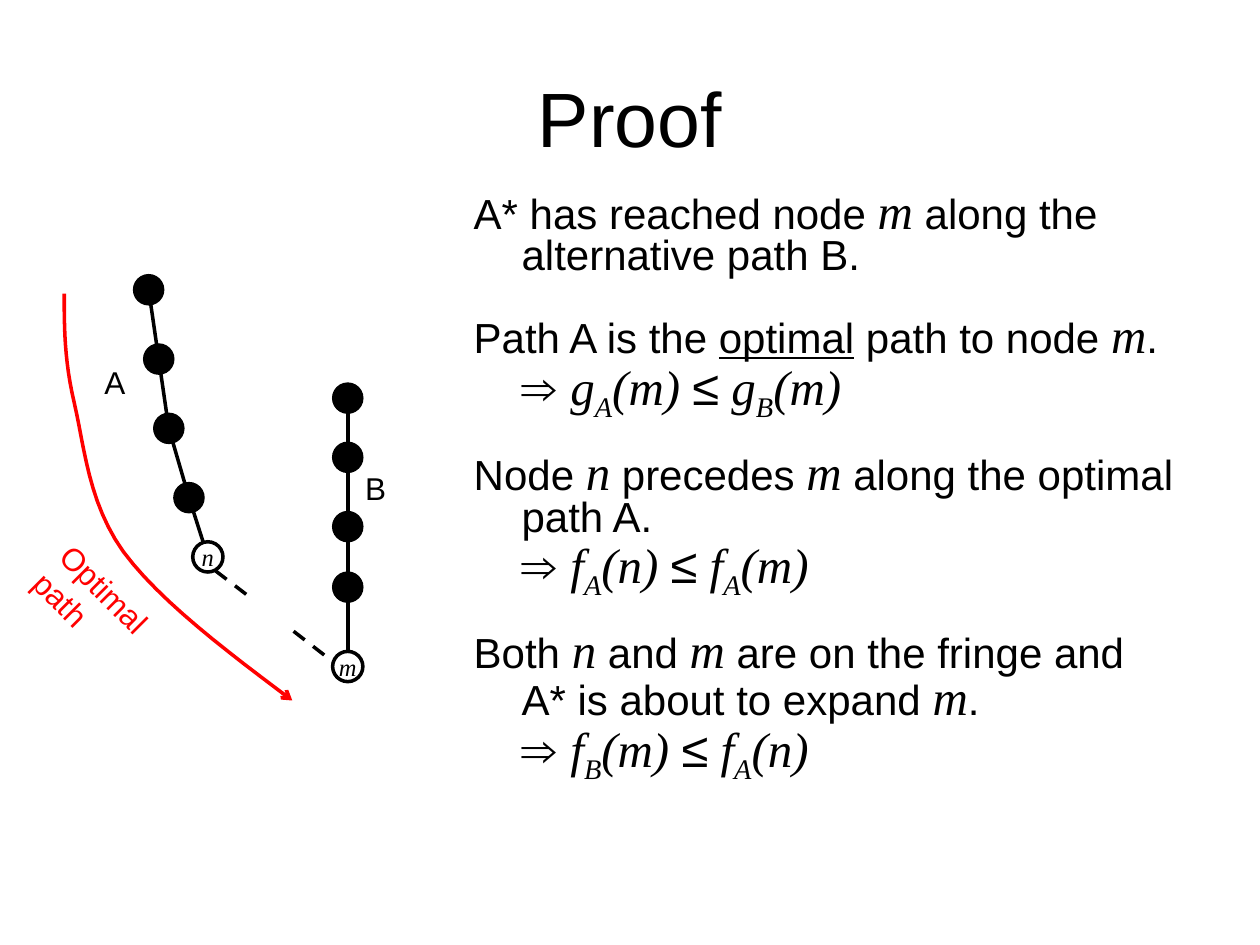
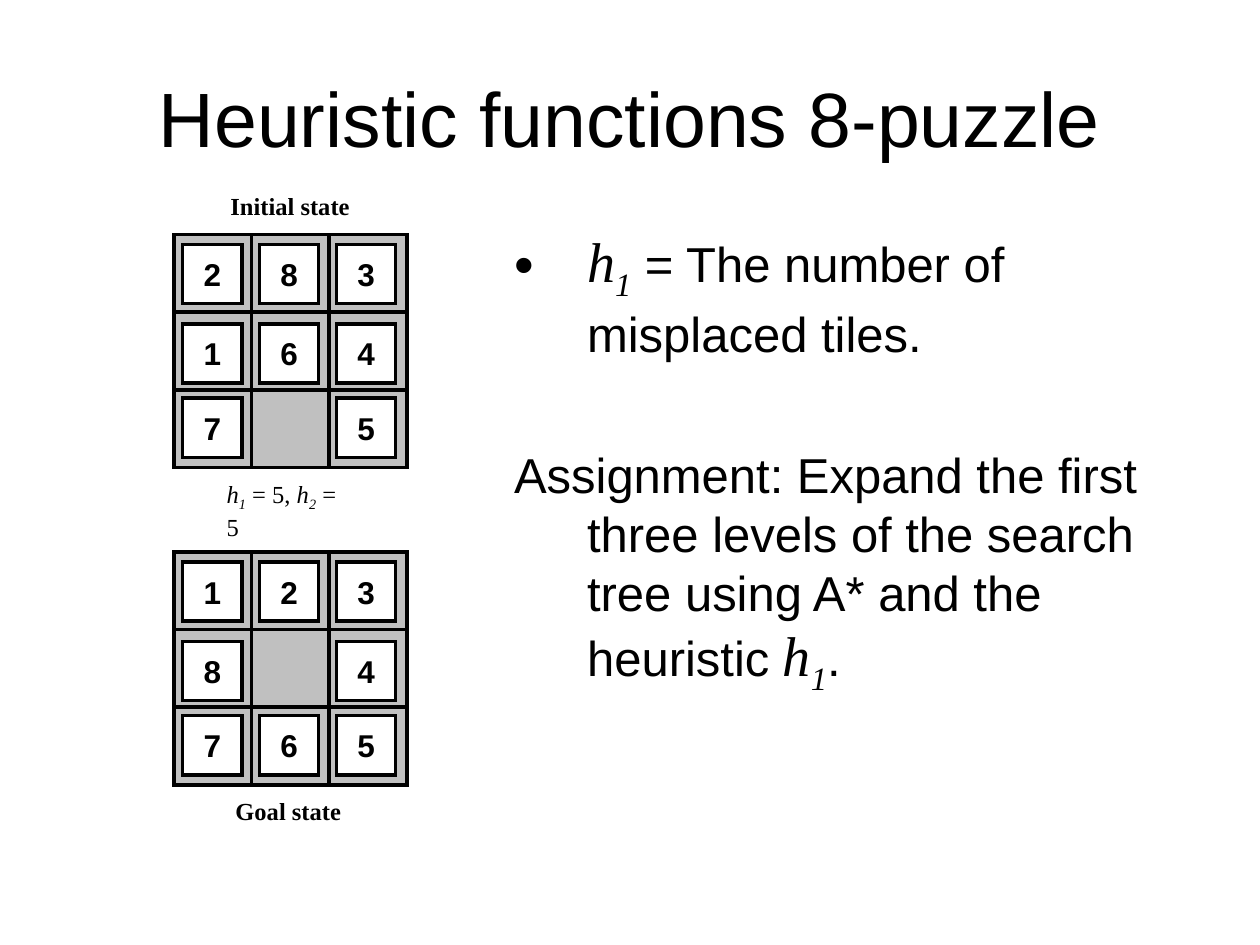
from lxml import etree
from pptx import Presentation
from pptx.dml.color import RGBColor
from pptx.enum.dml import MSO_LINE
from pptx.enum.shapes import MSO_CONNECTOR, MSO_SHAPE
from pptx.enum.text import MSO_ANCHOR, MSO_AUTO_SIZE, PP_ALIGN
from pptx.oxml.ns import qn
from pptx.util import Inches, Pt

DASH = MSO_LINE.DASH
LINE = MSO_CONNECTOR.STRAIGHT
OVAL, RECT = MSO_SHAPE.OVAL, MSO_SHAPE.RECTANGLE
MID = MSO_ANCHOR.MIDDLE
CENTER, LEFT = PP_ALIGN.CENTER, PP_ALIGN.LEFT
FIXED, GROW = MSO_AUTO_SIZE.NONE, MSO_AUTO_SIZE.SHAPE_TO_FIT_TEXT

BLACK = RGBColor(0x00, 0x00, 0x00)
WHITE = RGBColor(0xFF, 0xFF, 0xFF)
GRAY = RGBColor(0xC0, 0xC0, 0xC0)
RED = RGBColor(0xFF, 0x00, 0x00)
SANS, SERIF = "Arial", "Times New Roman"

HEAD = (SANS, 44, "")
WORD = (SANS, 24, "")
UNDER = (SANS, 24, "u")
SIGN = (SANS, 28, "")
SLANT = (SANS, 28, "i")
VAR = (SERIF, 28, "i")
SUB = (SERIF, 28, "is")
BIG = (SERIF, 32, "i")
BIGSUB = (SERIF, 32, "is")
LABEL = (SANS, 18, "")
DIGIT = (SANS, 18, "b")
NOTE = (SERIF, 14, "")
BOLD = (SERIF, 14, "b")
SMALL = (SERIF, 14, "i")
LOW = (SERIF, 14, "is")
BREAK = ("\n", WORD)


def claim(path, arg, sign, other, goal):
    return [BREAK, ("⇒ ", SIGN), (path[0], VAR), (path[1], SUB),
            (f"({arg}) ", VAR), ("≤", sign), (" " + other[0], VAR),
            (other[1], SUB), (f"({goal})", VAR)]


PROOF = [
    [("A* has reached node ", WORD), ("m", VAR),
     (" along the alternative path B.", WORD)],
    [("Path A is the ", WORD), ("optimal", UNDER), (" path to node ", WORD),
     ("m", VAR), (".", WORD)] + claim("gA", "m", SIGN, "gB", "m"),
    [("Node ", WORD), ("n", VAR), (" precedes ", WORD), ("m", VAR),
     (" along the optimal path A.", WORD)]
    + claim("fA", "n", SLANT, "fA", "m"),
    [("Both ", WORD), ("n", VAR), (" and ", WORD), ("m", VAR),
     (" are on the fringe and A* is about to expand ", WORD), ("m", VAR),
     (".", WORD)] + claim("fB", "m", SLANT, "fA", "n"),
]
TASK = [
    [("h", BIG), ("1", BIGSUB), (" = The number of misplaced tiles.", SIGN)],
    [("Assignment: Expand the first three levels of the search tree "
      "using A* and the heuristic ", SIGN), ("h", BIG), ("1", BIGSUB),
     (".", SIGN)],
]
COST = [("h", SMALL), ("1", LOW), (" = 5, ", NOTE),
        ("h", SMALL), ("2", LOW), (" = 5", NOTE)]

CHAINS = [
    ("n", [(1.18, 2.3), (1.26, 2.85), (1.34, 3.4), (1.5, 3.95), (1.65, 4.42)]),
    ("m", [(2.76, 3.16), (2.76, 3.63), (2.76, 4.18), (2.76, 4.66),
           (2.76, 5.29)]),
]
GAPS = [(1.71, 4.53, 2.01, 4.76), (2.33, 5.01, 2.64, 5.25)]
CURVE = [
    [(0.51, 2.33), (0.51, 2.6), (0.51, 2.86), (0.59, 3.2)],
    [(0.59, 3.2), (0.67, 3.54), (0.7, 3.99), (0.98, 4.38)],
    [(0.98, 4.38), (1.27, 4.77), (1.8, 5.17), (2.32, 5.56)],
]
STEPS = 12
NODE = 0.24

BOARDS = [(1.86, ["283", "164", "7 5"]), (4.38, ["123", "8 4", "765"])]
EDGE, SIDE, TILE = 1.38, 1.85, 0.47
COLS = [0.07, 0.68, 1.29]
ROWS = [0.08, 0.71, 1.3]


def write(par, parts, color=BLACK):
    for text, (face, size, traits) in parts:
        if text == "\n":
            par.add_line_break()
            mark = etree.SubElement(par._p[-1], qn("a:rPr"))
            mark.set("sz", str(size * 100))
            continue
        run = par.add_run()
        run.text = text
        font = run.font
        font.name, font.size = face, Pt(size)
        font.color.rgb = color
        font.bold, font.italic = "b" in traits, "i" in traits
        font.underline = "u" in traits
        if "s" in traits:
            run._r.get_or_add_rPr().set("baseline", "-25000")


def place(shape, left, top, width, height):
    shape.left, shape.top = Inches(left), Inches(top)
    shape.width, shape.height = Inches(width), Inches(height)


def start(deck, title, spot):
    slide = deck.slides.add_slide(deck.slide_layouts[1])
    head, body = slide.placeholders
    place(head, 0.5, 0.3, 9, 1.25)
    place(body, *spot)
    for shape in (head, body):
        shape.text_frame.auto_size = FIXED
    head.text_frame.vertical_anchor = MID
    par = head.text_frame.paragraphs[0]
    par.alignment = CENTER
    write(par, [(title, HEAD)])
    return slide, body.text_frame


def fill(frame, items, hang, gap, pitch, dots=()):
    for i, parts in enumerate(items):
        par = frame.add_paragraph() if i else frame.paragraphs[0]
        props = par._p.get_or_add_pPr()
        props.set("marL", str(Inches(hang)))
        props.set("indent", str(-Inches(hang)))
        if i in dots:
            etree.SubElement(props, qn("a:buChar")).set("char", "•")
        else:
            etree.SubElement(props, qn("a:buNone"))
        par.alignment = LEFT
        par.line_spacing = pitch
        par.space_before = Pt(gap if i else 0)
        write(par, parts)


def label(slide, spot, parts, color=BLACK, turn=0):
    box = slide.shapes.add_textbox(*map(Inches, spot))
    box.rotation = turn
    box.text_frame.word_wrap = False
    box.text_frame.auto_size = GROW
    write(box.text_frame.paragraphs[0], parts, color)


def draw(slide, kind, spot, paint, width=2, parts=()):
    shape = slide.shapes.add_shape(kind, *map(Inches, spot))
    shape.shadow.inherit = False
    shape.fill.solid()
    shape.fill.fore_color.rgb = paint
    shape.line.color.rgb = BLACK
    shape.line.width = Pt(width)
    join = etree.SubElement(shape.line._get_or_add_ln(), qn("a:miter"))
    join.set("lim", "800000")
    if parts:
        frame = shape.text_frame
        frame.word_wrap = False
        frame.vertical_anchor = MID
        frame.paragraphs[0].alignment = CENTER
        write(frame.paragraphs[0], parts)


def link(slide, ends, dash=None):
    line = slide.shapes.add_connector(LINE, *map(Inches, ends))
    line.line.color.rgb = BLACK
    line.line.width = Pt(2)
    if dash:
        line.line.dash_style = dash
    etree.SubElement(line._element.spPr, qn("a:effectLst"))


def chain(slide, name, spots):
    for a, b in zip(spots, spots[1:]):
        link(slide, a + b)
    for x, y in spots:
        spot = (x - NODE / 2, y - NODE / 2, NODE, NODE)
        if (x, y) == spots[-1]:
            draw(slide, OVAL, spot, WHITE, 2, [(name, SMALL)])
        else:
            draw(slide, OVAL, spot, BLACK, 0.75)


def bend(knots, t):
    while len(knots) > 1:
        knots = [tuple(p + (q - p) * t for p, q in zip(a, b))
                 for a, b in zip(knots, knots[1:])]
    return knots[0]


def sweep(slide):
    dots = [CURVE[0][0]] + [bend(part, i / STEPS) for part in CURVE
                            for i in range(1, STEPS + 1)]
    dots = [(Inches(x), Inches(y)) for x, y in dots]
    pen = slide.shapes.build_freeform(*dots[0])
    pen.add_line_segments(dots[1:], close=False)
    arc = pen.convert_to_shape()
    arc.shadow.inherit = False
    arc.fill.background()
    arc.line.color.rgb = RED
    arc.line.width = Pt(2)
    tip = etree.SubElement(arc.line._get_or_add_ln(), qn("a:tailEnd"))
    tip.set("type", "arrow")


def board(slide, top, rows):
    draw(slide, RECT, (EDGE, top, SIDE, SIDE), GRAY)
    for i in (1, 2):
        step = SIDE * i / 3
        link(slide, (EDGE + step, top, EDGE + step, top + SIDE))
        link(slide, (EDGE, top + step, EDGE + SIDE, top + step))
    for y, row in zip(ROWS, rows):
        for x, digit in zip(COLS, row):
            if digit != " ":
                spot = (EDGE + x, top + y, TILE, TILE)
                draw(slide, RECT, spot, WHITE, 2, [(digit, DIGIT)])


def main():
    deck = Presentation()
    deck.slide_width, deck.slide_height = Inches(10), Inches(7.5)

    slide, body = start(deck, "Proof", (3.66, 1.47, 5.76, 5.39))
    fill(body, PROOF, 0.38, 21, 0.8)
    for name, spots in CHAINS:
        chain(slide, name, spots)
    for ends in GAPS:
        link(slide, ends, DASH)
    label(slide, (0.73, 2.83, 0.36, 0.4), [("A", LABEL)])
    label(slide, (2.8, 3.67, 0.36, 0.4), [("B", LABEL)])
    sweep(slide)
    label(slide, (0.22, 4.67, 1.61, 0.4), [("Optimal path", LABEL)], RED, 45)

    slide, body = start(deck, "Heuristic functions 8-puzzle",
                        (3.98, 1.75, 5.52, 4.95))
    fill(body, TASK, 0.58, 47, 1.0, dots=(0,))
    for top, rows in BOARDS:
        board(slide, top, rows)
    label(slide, (1.77, 6.27, 1.04, 0.34), [("Goal state", BOLD)])
    label(slide, (1.7, 3.75, 1.21, 0.37), COST)
    label(slide, (1.73, 1.47, 1.15, 0.34), [("Initial state", BOLD)])

    deck.save("out.pptx")


if __name__ == "__main__":
    main()
